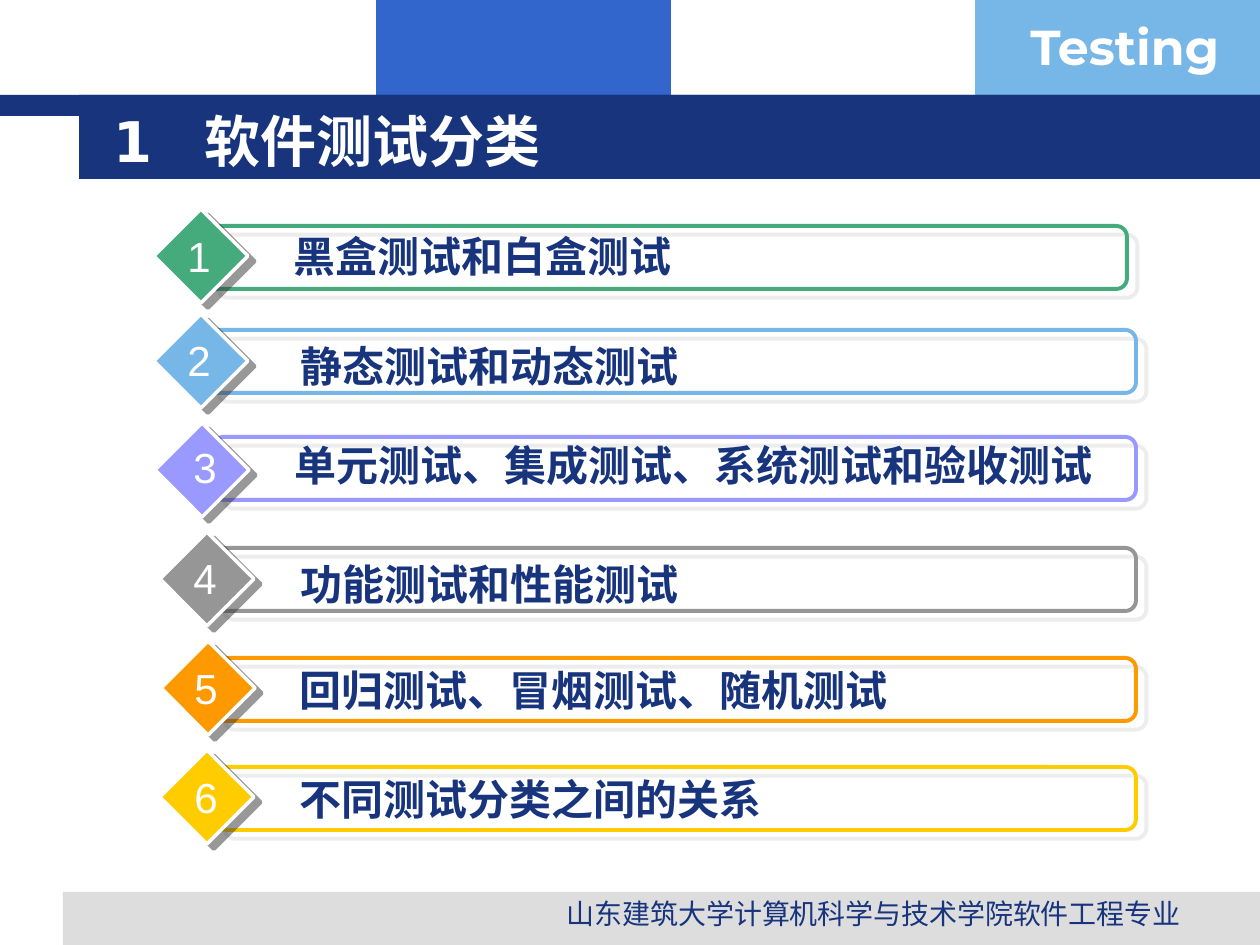
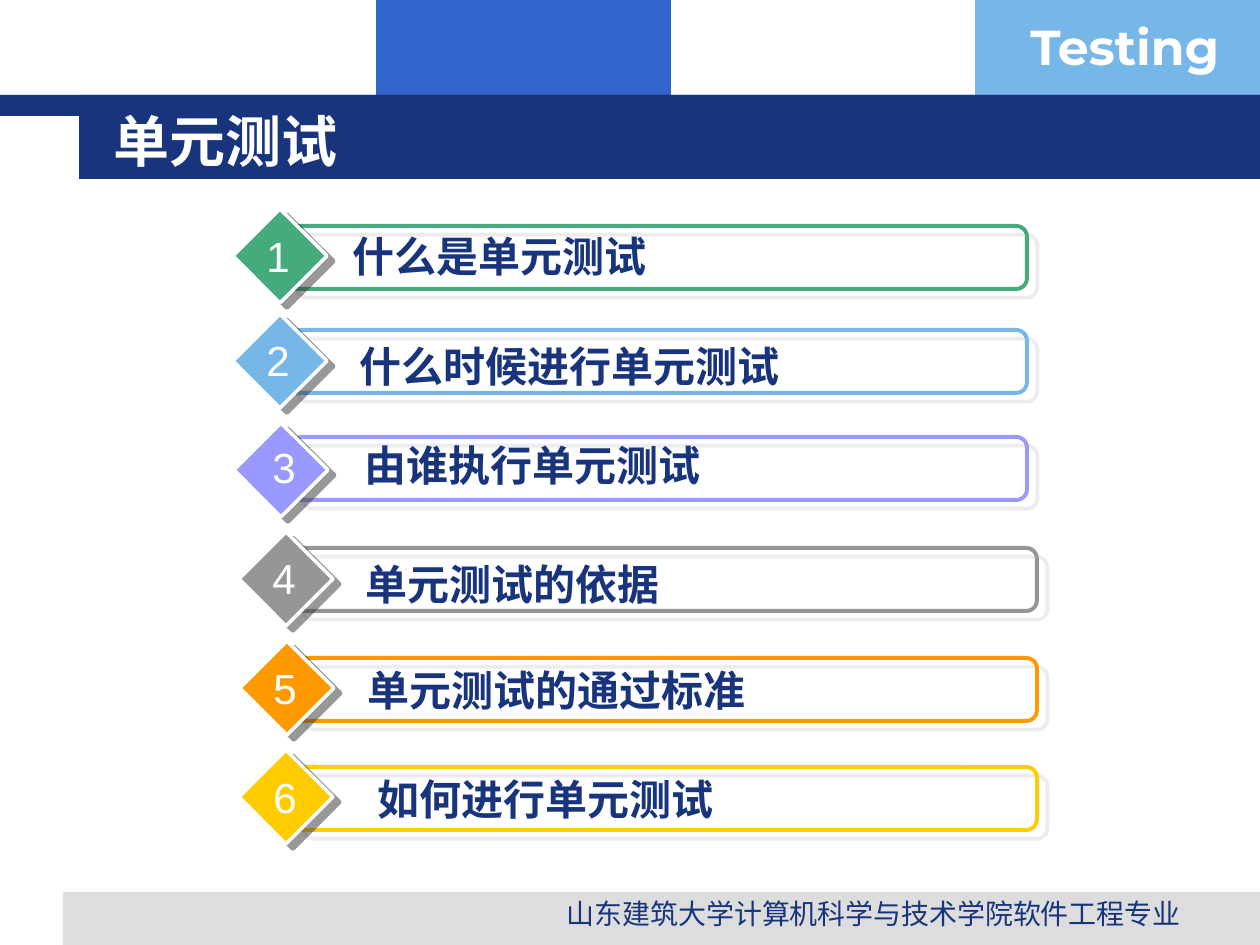
from dataclasses import dataclass

from lxml.etree import SubElement
from pptx import Presentation
from pptx.dml.color import RGBColor
from pptx.enum.shapes import MSO_SHAPE
from pptx.enum.text import MSO_ANCHOR, MSO_AUTO_SIZE, PP_ALIGN
from pptx.oxml.ns import qn
from pptx.util import Emu, Pt

EMU_PER_PX = 914400 / 126
SLIDE_W, SLIDE_H = 1260, 945


def px(length):
    return Emu(round(length * EMU_PER_PX))


@dataclass(frozen=True)
class Theme:
    navy: str = "17347D"
    blue: str = "3366CC"
    sky: str = "77B7E7"
    grey: str = "DDDDDD"
    white: str = "FFFFFF"
    gem_shadow: str = "333333"
    body_font: str = "Arial"
    title_font: str = "DejaVu Sans"
    brand_font: str = "Montserrat"
    title_size: int = 32
    brand_size: int = 28
    item_size: int = 24
    footer_size: int = 16
    bar_line: float = 2.25
    gem_line: float = 2


@dataclass(frozen=True)
class Row:
    """Colour and place of one agenda row, shared by both slides."""
    color: str
    gem_left: int
    gem_top: int
    bar_left: int
    bar_top: int
    label_top: int


ROWS = [
    Row("45AB7D", 154, 209, 207, 226, 224),
    Row("77B7E7", 154, 314, 207, 330, 334),
    Row("9999FF", 155, 423, 213, 437, 433),
    Row("969696", 160, 532, 213, 548, 552),
    Row("FF9900", 161, 641, 214, 658, 658),
    Row("FFCC00", 160, 750, 214, 767, 767),
]
ROW_H = 63
GEM = 94
DIGIT_W = 48
DIGIT_SHIFT_X, DIGIT_SHIFT_Y = -32, -2
TITLE_TAB = 91


class Deck:
    def __init__(self, theme):
        self.theme = theme
        self.prs = Presentation()
        self.prs.slide_width, self.prs.slide_height = px(SLIDE_W), px(SLIDE_H)
        self.slide = None

    def shape(self, kind, left, top, width, height, fill=None, line=None, line_pt=0):
        shape = self.slide.shapes.add_shape(kind, px(left), px(top), px(width), px(height))
        shape.shadow.inherit = False
        if fill:
            shape.fill.solid()
            shape.fill.fore_color.rgb = RGBColor.from_string(fill)
        else:
            shape.fill.background()
        if line:
            shape.line.color.rgb = RGBColor.from_string(line)
            shape.line.width = Pt(line_pt)
        else:
            shape.line.fill.background()
        return shape

    def cast_shadow(self, shape, color, distance_pt, degrees):
        effects = shape._element.spPr.find(qn("a:effectLst"))
        shadow = SubElement(effects, qn("a:outerShdw"), blurRad="0", dist=str(Pt(distance_pt)),
                            dir=str(degrees * 60000), algn="ctr", rotWithShape="0")
        tint = SubElement(shadow, qn("a:srgbClr"), val=color)
        SubElement(tint, qn("a:alpha"), val="50000")

    def text(self, words, left, top, width, height, size, color, font=None, bold=False,
             align=PP_ALIGN.LEFT, anchor=MSO_ANCHOR.TOP, grow=False, wrap=True, tab=None):
        box = self.slide.shapes.add_textbox(px(left), px(top), px(width), px(height))
        frame = box.text_frame
        frame.word_wrap = wrap
        frame.vertical_anchor = anchor
        frame.auto_size = MSO_AUTO_SIZE.SHAPE_TO_FIT_TEXT if grow else MSO_AUTO_SIZE.NONE
        frame.text = words
        paragraph = frame.paragraphs[0]
        paragraph.alignment = align
        if tab:
            stops = SubElement(paragraph._p.get_or_add_pPr(), qn("a:tabLst"))
            SubElement(stops, qn("a:tab"), pos=str(px(tab)), algn="l")
        for run in paragraph.runs:
            run.font.name = font or self.theme.body_font
            run.font.size = Pt(size)
            run.font.bold = bold
            run.font.color.rgb = RGBColor.from_string(color)

    def new_slide(self, title):
        t = self.theme
        self.slide = self.prs.slides.add_slide(self.prs.slide_layouts[6])
        # Header blocks, footer band and title band
        for left, top, right, bottom, color in [
            (376, 0, 671, 116, t.blue),
            (975, 0, SLIDE_W, 116, t.sky),
            (63, 892, SLIDE_W, SLIDE_H, t.grey),
            (0, 95, SLIDE_W, 116, t.navy),
            (79, 95, SLIDE_W, 179, t.navy),
        ]:
            self.shape(MSO_SHAPE.RECTANGLE, left, top, right - left, bottom - top, color)
        # Header, footer and title wording
        self.text("Testing", 1018, 10, 243, 72, t.brand_size, t.white, t.brand_font,
                  bold=True, grow=True)
        self.text("山东建筑大学计算机科学与技术学院软件工程专业", 512, 890, 724, 39,
                  t.footer_size, t.navy, align=PP_ALIGN.CENTER)
        self.text(title, 101, 101, 1075, 78, t.title_size, t.white, t.title_font,
                  bold=True, anchor=MSO_ANCHOR.MIDDLE, tab=TITLE_TAB)

    def agenda_row(self, number, row, shift, bar_right, label, label_left, label_width, align):
        t = self.theme
        bar_left = row.bar_left + shift
        bar = self.shape(MSO_SHAPE.ROUNDED_RECTANGLE, bar_left, row.bar_top,
                         bar_right - bar_left, ROW_H, line=row.color, line_pt=t.bar_line)
        bar.adjustments[0] = 0.17
        self.cast_shadow(bar, t.grey, 7.8, 40)
        gem = self.shape(MSO_SHAPE.DIAMOND, row.gem_left + shift, row.gem_top, GEM, GEM,
                         row.color, t.white, t.gem_line)
        self.cast_shadow(gem, t.gem_shadow, 5, 37)
        self.text(label, label_left, row.label_top, label_width, ROW_H, t.item_size, t.navy,
                  bold=True, align=align, grow=True)
        self.text(str(number), bar_left + DIGIT_SHIFT_X, row.bar_top + DIGIT_SHIFT_Y,
                  DIGIT_W, ROW_H, t.item_size, t.white, align=PP_ALIGN.CENTER,
                  grow=True, wrap=False)

    def agenda(self, title, items, shift, align):
        self.new_slide(title)
        for number, (row, item) in enumerate(zip(ROWS, items), 1):
            self.agenda_row(number, row, shift, *item, align)


# Each item: right edge of the bar, label, label left, label width
TEST_TYPES = [
    (1127, "黑盒测试和白盒测试", 238, 489),
    (1136, "静态测试和动态测试", 253, 473),
    (1136, "单元测试、集成测试、系统测试和验收测试", 272, 844),
    (1136, "功能测试和性能测试", 253, 473),
    (1136, "回归测试、冒烟测试、随机测试", 233, 721),
    (1136, "不同测试分类之间的关系", 260, 542),
]
UNIT_TEST_TOPICS = [
    (1027, "什么是单元测试", 340, 489),
    (1027, "什么时候进行单元测试", 347, 473),
    (1027, "由谁执行单元测试", 352, 645),
    (1037, "单元测试的依据", 353, 473),
    (1037, "单元测试的通过标准", 355, 592),
    (1037, "如何进行单元测试", 365, 542),
]


def main():
    deck = Deck(Theme())
    deck.agenda("1\t软件测试分类", TEST_TYPES, 0, PP_ALIGN.CENTER)
    deck.agenda("单元测试", UNIT_TEST_TOPICS, 79, PP_ALIGN.LEFT)
    deck.prs.save("out.pptx")


if __name__ == "__main__":
    main()
